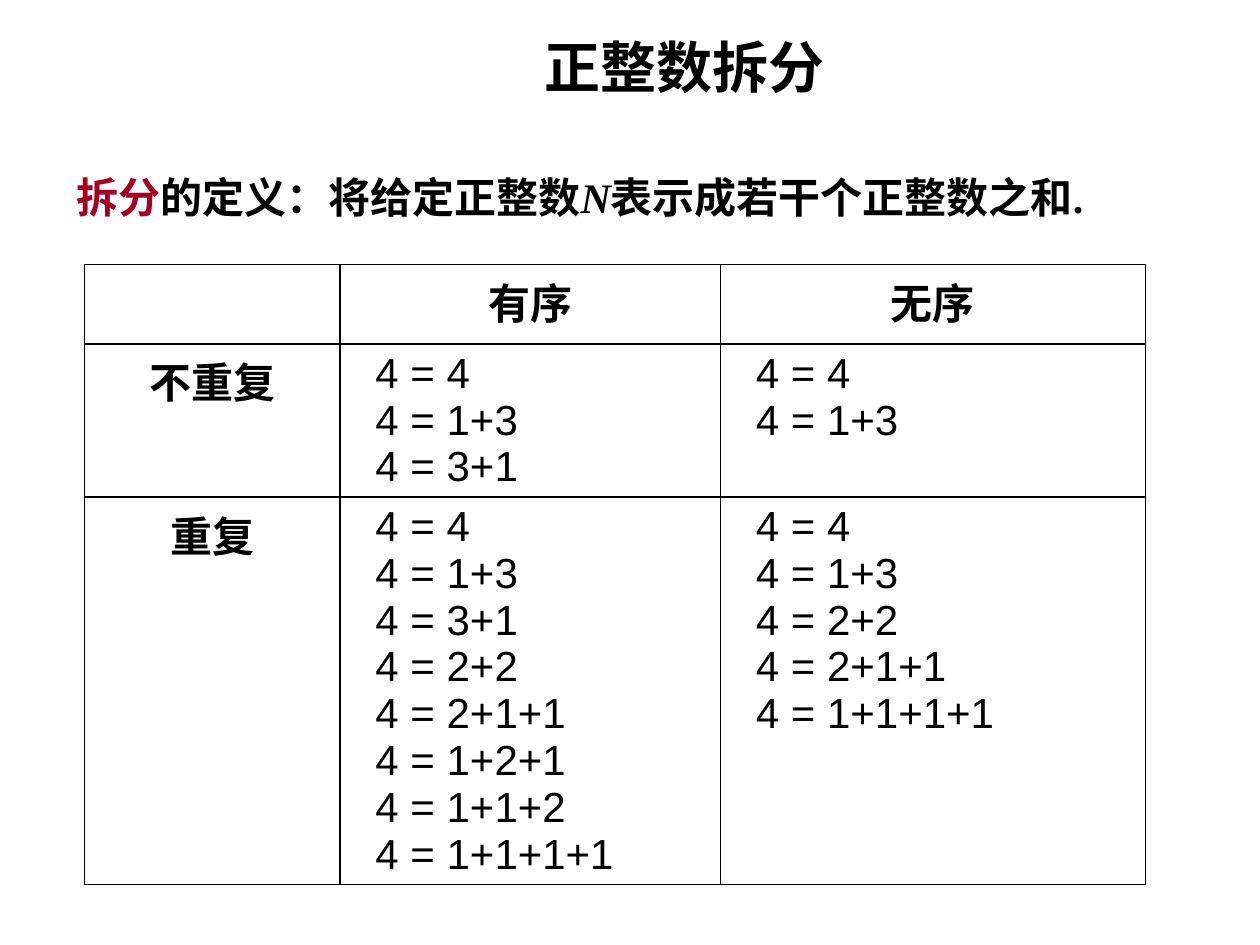
from lxml.etree import SubElement
from pptx import Presentation
from pptx.dml.color import RGBColor
from pptx.enum.text import MSO_ANCHOR, MSO_AUTO_SIZE, PP_ALIGN
from pptx.oxml.ns import qn
from pptx.util import Inches, Pt

BLACK = RGBColor(0x00, 0x00, 0x00)
RED = RGBColor(0xA5, 0x00, 0x21)
CJK, LATIN, SERIF = "Noto Sans CJK SC", "Arial", "Times New Roman"

COLUMNS = [2.03, 3.02, 3.37]
ROWS = [0.63, 1.21, 3.07]
CELLS = [
    [[], ["有序"], ["无序"]],
    [["不重复"], ["4", "1+3", "3+1"], ["4", "1+3"]],
    [
        ["重复"],
        ["4", "1+3", "3+1", "2+2", "2+1+1", "1+2+1", "1+1+2", "1+1+1+1"],
        ["4", "1+3", "2+2", "2+1+1", "1+1+1+1"],
    ],
]


def format_run(r, font, size=24, bold=True, italic=False, color=BLACK):
    r.font.name = font
    r.font.size = Pt(size)
    r.font.bold = bold
    r.font.italic = italic
    r.font.color.rgb = color
    SubElement(r.font._element, qn("a:ea")).set("typeface", CJK)


def place(sp, left, top, width, height):
    sp.left, sp.top = Inches(left), Inches(top)
    sp.width, sp.height = Inches(width), Inches(height)


def add_title(s, text):
    sp = s.shapes.title
    place(sp, 2.01, 0.21, 6.85, 0.63)
    tf = sp.text_frame
    tf.text = text
    tf.auto_size = MSO_AUTO_SIZE.NONE
    tf.vertical_anchor = MSO_ANCHOR.TOP
    p = tf.paragraphs[0]
    p.alignment = PP_ALIGN.CENTER
    format_run(p.runs[0], LATIN, size=32)


def add_definition(s, parts):
    sp = s.shapes.add_textbox(Inches(0.51), Inches(1.31), Inches(9.13), Inches(0.5))
    tf = sp.text_frame
    tf.word_wrap = True
    tf.vertical_anchor = MSO_ANCHOR.MIDDLE
    for text, color, italic in parts:
        r = tf.paragraphs[0].add_run()
        r.text = text
        format_run(r, SERIF, italic=italic, color=color)


def set_borders(cell):
    tcPr = cell._tc.get_or_add_tcPr()
    for side in ("lnL", "lnR", "lnT", "lnB"):
        ln = SubElement(tcPr, qn(f"a:{side}"), w=str(Pt(1)))
        fill = SubElement(ln, qn("a:solidFill"))
        SubElement(fill, qn("a:srgbClr"), val=str(BLACK))


def fill_cell(cell, lines, heading):
    set_borders(cell)
    cell.fill.background()
    if not heading:
        cell.margin_left = Inches(0.28)
    tf = cell.text_frame
    tf.text = "\n".join(lines if heading else [f"4 = {line}" for line in lines])
    for p in tf.paragraphs:
        p.alignment = PP_ALIGN.CENTER if heading else PP_ALIGN.LEFT
        for r in p.runs:
            format_run(r, CJK if heading else LATIN, bold=heading)


def add_partition_table(s):
    frame = s.shapes.add_table(
        len(ROWS), len(COLUMNS), Inches(0.67), Inches(2.1),
        Inches(sum(COLUMNS)), Inches(sum(ROWS)),
    )
    table = frame.table
    table.first_row = table.horz_banding = False
    for column, width in zip(table.columns, COLUMNS):
        column.width = Inches(width)
    for row, height in zip(table.rows, ROWS):
        row.height = Inches(height)
    for i, row in enumerate(CELLS):
        for j, lines in enumerate(row):
            fill_cell(table.cell(i, j), lines, heading=i == 0 or j == 0)


def main():
    prs = Presentation()
    prs.slide_width, prs.slide_height = Inches(10), Inches(7.5)
    s = prs.slides.add_slide(prs.slide_layouts[5])
    add_partition_table(s)
    add_definition(s, [
        ("拆分", RED, False),
        ("的定义：将给定正整数", BLACK, False),
        ("N", BLACK, True),
        ("表示成若干个正整数之和.", BLACK, False),
    ])
    add_title(s, "正整数拆分")
    prs.save("out.pptx")


if __name__ == "__main__":
    main()
